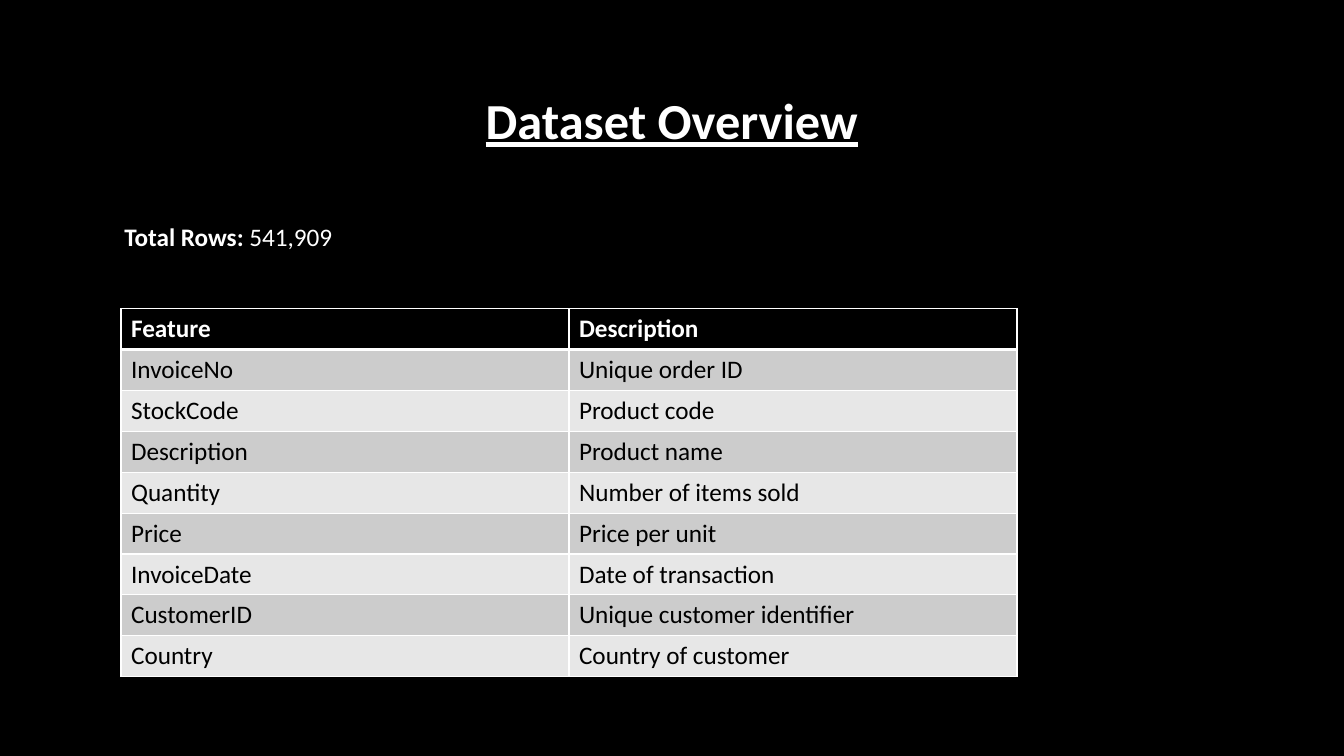
from lxml.etree import SubElement
from pptx import Presentation
from pptx.dml.color import RGBColor
from pptx.enum.text import MSO_ANCHOR, MSO_AUTO_SIZE, PP_ALIGN
from pptx.oxml.ns import qn
from pptx.util import Cm, Pt

# Content
TITLE = "Dataset Overview"
TOTAL_LABEL, TOTAL_VALUE = " Total Rows:", " 541,909"
FEATURES = [
    ("Feature", "Description"),
    ("InvoiceNo", "Unique order ID"),
    ("StockCode", "Product code"),
    ("Description", "Product name"),
    ("Quantity", "Number of items sold"),
    ("Price", "Price per unit"),
    ("InvoiceDate", "Date of transaction"),
    ("CustomerID", "Unique customer identifier"),
    ("Country", "Country of customer"),
]

# Style
FONT = "Calibri"
BLACK, WHITE = "000000", "FFFFFF"
BANDS = ("E7E7E7", "CCCCCC")
COL_W, ROW_H = 11.29, 1.03
THIN, THICK = 1, 3


def rgb(color):
    return RGBColor.from_string(color)


def add_text(p, text, size=18, color=WHITE, bold=False, underline=False):
    r = p.add_run()
    r.text = text
    r.font.name = FONT
    r.font.size = Pt(size)
    r.font.color.rgb = rgb(color)
    r.font.bold = bold
    r.font.underline = underline


def add_box(s, left, top, width, height):
    tf = s.shapes.add_textbox(Cm(left), Cm(top), Cm(width), Cm(height)).text_frame
    tf.word_wrap = True
    tf.auto_size = MSO_AUTO_SIZE.SHAPE_TO_FIT_TEXT
    return tf.paragraphs[0]


def set_borders(cell, **widths):
    tcPr = cell._tc.get_or_add_tcPr()
    for side in "LRTB":
        width = Pt(widths.get(side, THIN))
        ln = SubElement(tcPr, qn(f"a:ln{side}"), w=str(width))
        fill = SubElement(ln, qn("a:solidFill"))
        SubElement(fill, qn("a:srgbClr"), val=WHITE)


prs = Presentation()
prs.slide_width, prs.slide_height = Cm(33.87), Cm(19.05)
s = prs.slides.add_slide(prs.slide_layouts[6])
s.background.fill.solid()
s.background.fill.fore_color.rgb = rgb(BLACK)

# Title
p = add_box(s, 11.71, 2.11, 10.44, 1.8)
p.alignment = PP_ALIGN.CENTER
add_text(p, TITLE, size=36, bold=True, underline=True)

# Row count
p = add_box(s, 2.74, 5.44, 25.07, 1.02)
add_text(p, TOTAL_LABEL, bold=True)
add_text(p, TOTAL_VALUE)

# Feature table
n_rows, n_cols = len(FEATURES), len(FEATURES[0])
table = s.shapes.add_table(n_rows, n_cols, Cm(3.05), Cm(7.78),
                           Cm(COL_W * n_cols), Cm(ROW_H * n_rows)).table
for col in table.columns:
    col.width = Cm(COL_W)
for i, row in enumerate(FEATURES):
    table.rows[i].height = Cm(ROW_H)
    header = i == 0
    for j, text in enumerate(row):
        cell = table.cell(i, j)
        cell.vertical_anchor = MSO_ANCHOR.MIDDLE if header else MSO_ANCHOR.TOP
        # The header rule is shared by the first two rows
        set_borders(cell, B=THICK if header else THIN, T=THICK if i == 1 else THIN)
        cell.fill.solid()
        cell.fill.fore_color.rgb = rgb(BLACK if header else BANDS[i % 2])
        add_text(cell.text_frame.paragraphs[0], text,
                 color=WHITE if header else BLACK, bold=header)

prs.save("out.pptx")
